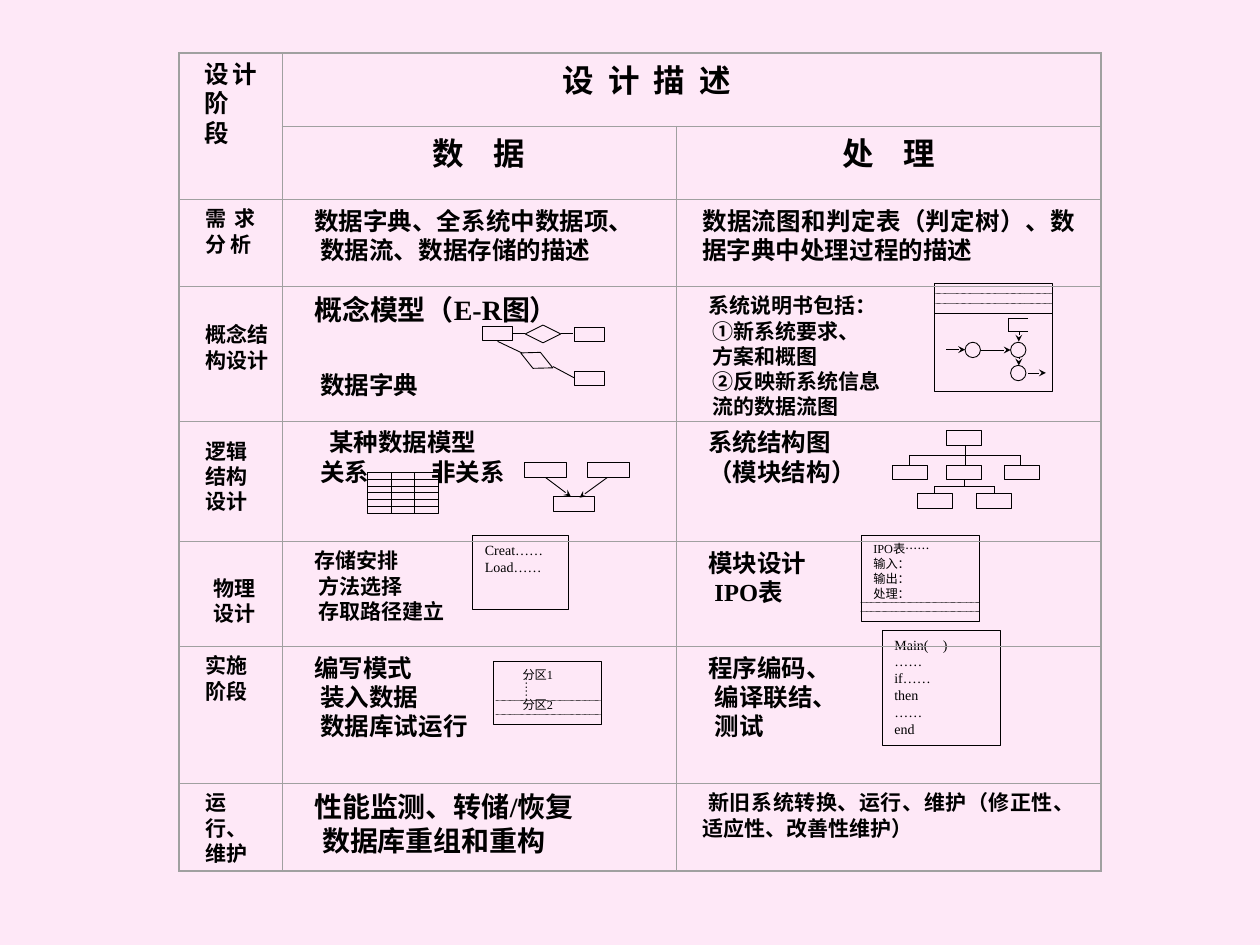
from dataclasses import dataclass

from lxml import etree
from pptx import Presentation, util as u
from pptx.dml.color import RGBColor
from pptx.enum import dml, shapes, text
from pptx.oxml import ns

Pt = u.Pt
KIND = shapes.MSO_SHAPE
ALIGN = text.PP_ALIGN


@dataclass(frozen=True)
class Theme:
    back: RGBColor = RGBColor(0xFE, 0xE8, 0xF7)
    ink: RGBColor = RGBColor(0, 0, 0)
    border: str = "A0A0A0"
    font: str = "Times New Roman"
    head: float = 18
    large: float = 16
    body: float = 14
    small: float = 12
    code: float = 8
    tiny: float = 7
    rule: float = 0.5
    hair: float = 0.25


T = Theme()
COLS = [58.8, 225.2, 243]
ROWS = [42, 41.7, 49.7, 77, 68.8, 60, 78.3, 50]
LEFT, TOP = 102.3, 30.2


def sub(parent, tag, **attrs):
    return etree.SubElement(parent, ns.qn(tag), attrs)


# Text
def add_run(p, words, size, bold, spacing=0):
    r = p.add_run()
    r.text = words
    for name, value in dict(name=T.font, size=Pt(size), bold=bold).items():
        setattr(r.font, name, value)
    r.font.color.rgb = T.ink
    if spacing:
        r._r.get_or_add_rPr().set("spc", str(spacing * 100))


def write(tf, lines, size, bold=False, align=ALIGN.JUSTIFY, spread=0, gap=0, leading=None):
    """Each line is (words, first-line indent, space before[, own size])."""
    for i, (words, indent, before, *own) in enumerate(lines):
        size = own[0] if own else size
        p = tf.paragraphs[0] if i == 0 else tf.add_paragraph()
        p.alignment = align
        p.space_before = Pt(before)
        if leading:
            p.line_spacing = Pt(size * leading)
        p._p.get_or_add_pPr().set("indent", str(Pt(indent)))
        if spread:
            add_run(p, words[:-1], size, bold, spread)
            words = words[-1]
        first, *others = words.split(" ") if gap else [words]
        add_run(p, first, size, bold)
        for other in others:
            add_run(p, " ", size, bold, gap)
            add_run(p, other, size, bold)


def plain(*words, indent=0):
    return [(w, indent, 0) for w in words]


def listed(size, first, *rest):
    """First line nearly flush, the rest set in by half an em."""
    return [(first, 3.5, 0)] + plain(*rest, indent=size / 2)


# Shapes and lines
def add_box(g, x, y, w, h, kind=KIND.RECTANGLE, rotation=0):
    sp = g.shapes.add_shape(kind, Pt(x), Pt(y), Pt(w), Pt(h))
    sp.shadow.inherit = False
    sp.rotation = rotation
    sp.fill.background()
    sp.line.color.rgb = T.ink
    sp.line.width = Pt(T.rule)
    return sp


def add_note(g, x, y, w, h, lines, size, align=ALIGN.JUSTIFY):
    tf = add_box(g, x, y, w, h).text_frame
    tf.word_wrap = True
    tf.vertical_anchor = text.MSO_ANCHOR.TOP
    write(tf, lines, size, align=align)


def add_label(g, x, y, w, h, lines, size, **style):
    tf = g.shapes.add_textbox(Pt(x), Pt(y), Pt(w), Pt(h)).text_frame
    tf.word_wrap = True
    write(tf, lines, size, **style)
    return tf


def add_line(g, x1, y1, x2, y2, width=T.rule, arrow=False, dotted=False):
    ln = g.shapes.add_connector(shapes.MSO_CONNECTOR.STRAIGHT, Pt(x1), Pt(y1), Pt(x2), Pt(y2))
    ln.line.color.rgb = T.ink
    ln.line.width = Pt(width)
    if dotted:
        ln.line.dash_style = dml.MSO_LINE.ROUND_DOT
        ln.line._get_or_add_ln().set("cap", "rnd")
    if arrow:
        sub(ln.line._get_or_add_ln(), "a:tailEnd", type="stealth", w="sm", len="sm")
    sub(ln._element.spPr, "a:effectLst")


def add_lines(g, ends, **style):
    for end in ends:
        add_line(g, *end, **style)


def add_dotted(g, x1, x2, *ys):
    add_lines(g, [(x1, y, x2, y) for y in ys], width=T.hair, dotted=True)


# Small diagrams
def draw_flow(g):
    add_box(g, 534, 162, 67.5, 62)
    add_dotted(g, 534, 601.5, 167.8, 173.5)
    for x, y in [(551.5, 195.6), (577.5, 195.6), (577.5, 208.8)]:
        add_box(g, x, y, 8.8, 8.8, KIND.OVAL)
    add_lines(g, [(534, 179.3, 601.5, 179.3), (576, 182.2, 576, 189.4),
                  (587.5, 189.4, 576, 189.4), (587.5, 182.2, 576, 182.2)])
    add_lines(g, [(582.2, 189.4, 582.2, 195.2), (560.5, 200, 577.5, 200),
                  (582.2, 204, 582.2, 208.8), (587.5, 213.1, 597.6, 213.1),
                  (540.7, 199.8, 551.5, 199.8)], width=T.hair, arrow=True)


def draw_entities(g):
    for x, y in [(275.8, 186.5), (328.3, 212.4), (328.3, 187.2)]:
        add_box(g, x, y, 17.3, 7.9)
    add_box(g, 300.2, 185.8, 20.2, 10.1, KIND.DIAMOND)
    add_box(g, 296.6, 200.9, 20.2, 10.1, KIND.DIAMOND, rotation=25)
    add_lines(g, [(284.4, 195.1, 298.1, 201.6), (316.1, 209.5, 328.3, 216),
                  (293, 190.8, 300.2, 190.8), (320.4, 190.8, 327.6, 190.8)])


def draw_network(g):
    for x, y in [(300, 264.2), (336, 264.2), (316, 283.7)]:
        add_box(g, x, y, 23.8, 8.6)
    add_lines(g, [(311.8, 272.9, 326.2, 283.7), (347, 272.9, 331.2, 284.4)], arrow=True)


def draw_relation(g, x=210.2, y=270, w=40.3, h=23.4, rows=6, cols=3):
    add_box(g, x, y, w, h)
    add_lines(g, [(x, y + h * i / rows, x + w, y + h * i / rows) for i in range(1, rows)])
    add_lines(g, [(x + w * i / cols, y, x + w * i / cols, y + h) for i in range(1, cols)])


def draw_modules(g):
    for x, y in [(540.7, 246.2), (509.8, 265.7), (540.7, 265.7), (573.8, 265.7),
                 (524.2, 282.2), (558, 282.2)]:
        add_box(g, x, y, 20.2, 8.6)
    add_lines(g, [(551.5, 255, 551.5, 265.5), (551, 274.3, 551, 278)])
    for x1, x2, y, end in [(519.8, 583.2, 260, 265.7), (534.2, 568.1, 278, 282.2)]:
        add_lines(g, [(x1, y, x2, y), (x1, y, x1, end), (x2, y, x2, end)])


def draw_ipo(g):
    add_note(g, 492, 306, 67.7, 49, plain("IPO表……", "输入：", "输出：", "处理："), T.tiny, ALIGN.LEFT)
    add_dotted(g, 492, 559.7, 344, 349.2)


def draw_partitions(g):
    add_note(g, 282, 378, 62, 36, [("分区1", 9.5, 0), ("分区2", 9.5, 8.5)], T.tiny, ALIGN.LEFT)
    add_dotted(g, 283.4, 343.4, 400.3, 408.2)
    tf = add_label(g, 285.8, 380.2, 25.2, 29.5, plain("……"), T.tiny, align=ALIGN.LEFT)
    tf._txBody.bodyPr.set("vert", "eaVert")


# Table
def set_cell(cell, lines, size, left=15, right=15, top=4.9, **style):
    margins = dict(margin_left=left, margin_right=right, margin_top=top, margin_bottom=0)
    for name, value in margins.items():
        setattr(cell, name, Pt(value))
    write(cell.text_frame, lines, size, bold=True, leading=1.2, **style)


def set_borders(cell, row, col):
    cell.fill.background()
    tcPr = cell._tc.get_or_add_tcPr()
    at_right = col == len(COLS) - 1 or (row, col) == (0, 1)
    outer = dict(lnL=col == 0, lnR=at_right, lnT=row == 0, lnB=row == len(ROWS) - 1)
    for i, (side, edge) in enumerate(outer.items()):
        ln = etree.Element(ns.qn("a:" + side), w=str(Pt(1 if edge else T.rule)))
        sub(sub(ln, "a:solidFill"), "a:srgbClr", val=T.border)
        tcPr.insert(i, ln)


def add_stage_table(s):
    tb = s.shapes.add_table(len(ROWS), len(COLS), Pt(LEFT), Pt(TOP), Pt(sum(COLS)), Pt(sum(ROWS))).table
    tb.first_row = tb.horz_banding = False
    for col, w in zip(tb.columns, COLS):
        col.width = Pt(w)
    for row, h in zip(tb.rows, ROWS):
        row.height = Pt(h)
    for i in range(len(ROWS)):
        for j in range(len(COLS)):
            set_borders(tb.cell(i, j), i, j)
    tb.cell(0, 0).merge(tb.cell(1, 0))
    tb.cell(0, 1).merge(tb.cell(0, 2))

    # Headings; the tall first one floats so that it cannot stretch a row
    mid = dict(align=ALIGN.CENTER)
    add_label(s, 110, 30.2, 43.9, 83.5, plain("设计阶 段"), T.body, bold=True)
    set_cell(tb.cell(0, 1), plain("设计描述", indent=145.5), T.head, top=6, spread=8)
    set_cell(tb.cell(1, 1), plain("数据"), T.head, top=6, spread=17, **mid)
    set_cell(tb.cell(1, 2), plain("处理"), T.head, top=6, spread=17, **mid)

    # Stages
    stages = [(["需求分 析"], {}),
              (["概念结构设计"], dict(left=13, right=6, top=21.5, **mid)),
              (["逻辑结构设计"], dict(left=13, right=18, top=11, **mid)),
              (["物理设计"], dict(left=19, right=14, top=20.5, **mid)),
              (["实施阶段"], dict(align=ALIGN.LEFT)),
              (["运", "行、", "维护"], {})]
    for i, (names, style) in enumerate(stages, 2):
        set_cell(tb.cell(i, 0), plain(*names), T.small, **style)

    # Data column, then processing column
    data = [(T.body, listed(T.body, "数据字典、全系统中数据项、", "数据流、数据存储的描述")),
            (T.large, [("概念模型（E-R图）", 3.5, 0), ("数据字典", 7, 25, T.body)]),
            (T.body, [("某种数据模型", 12, 0), ("关系 非关系", 7, 0)]),
            (T.small, listed(T.small, "存储安排", "方法选择", "存取路径建立")),
            (T.body, listed(T.body, "编写模式", "装入数据", "数据库试运行")),
            (T.large, listed(T.large, "性能监测、转储/恢复", "数据库重组和重构"))]
    process = [(T.body, plain("数据流图和判定表（判定树）、数据字典中处理过程的描述")),
               (T.small, listed(T.small, "系统说明书包括：", "①新系统要求、", "方案和概图",
                                "②反映新系统信息", "流的数据流图")),
               (T.body, [("系统结构图", 3.5, 0), ("（模块结构）", 3.5, 0)]),
               (T.body, listed(T.body, "模块设计", "IPO表")),
               (T.body, listed(T.body, "程序编码、", "编译联结、", "测试")),
               (T.small, plain("新旧系统转换、运行、维护（修正性、适应性、改善性维护）", indent=3.5))]
    for j, column in enumerate([data, process], 1):
        for i, (size, lines) in enumerate(column, 2):
            set_cell(tb.cell(i, j), lines, size, gap=32)


def main():
    prs = Presentation()
    prs.slide_width, prs.slide_height = Pt(720), Pt(540)
    s = prs.slides.add_slide(prs.slide_layouts[6])
    s.background.fill.solid()
    s.background.fill.fore_color.rgb = T.back
    for draw in (draw_flow, draw_entities, draw_network, draw_relation, draw_modules,
                 draw_ipo, draw_partitions):
        draw(s.shapes.add_group_shape())
    add_note(s, 270, 306, 54.7, 42.5, plain("Creat……", "Load……"), T.code)
    add_note(s, 504, 360, 67.7, 66.2, plain("Main(　)", "……", "if……", "then", "……", "end"), T.code)
    add_stage_table(s)
    prs.save("out.pptx")


if __name__ == "__main__":
    main()
